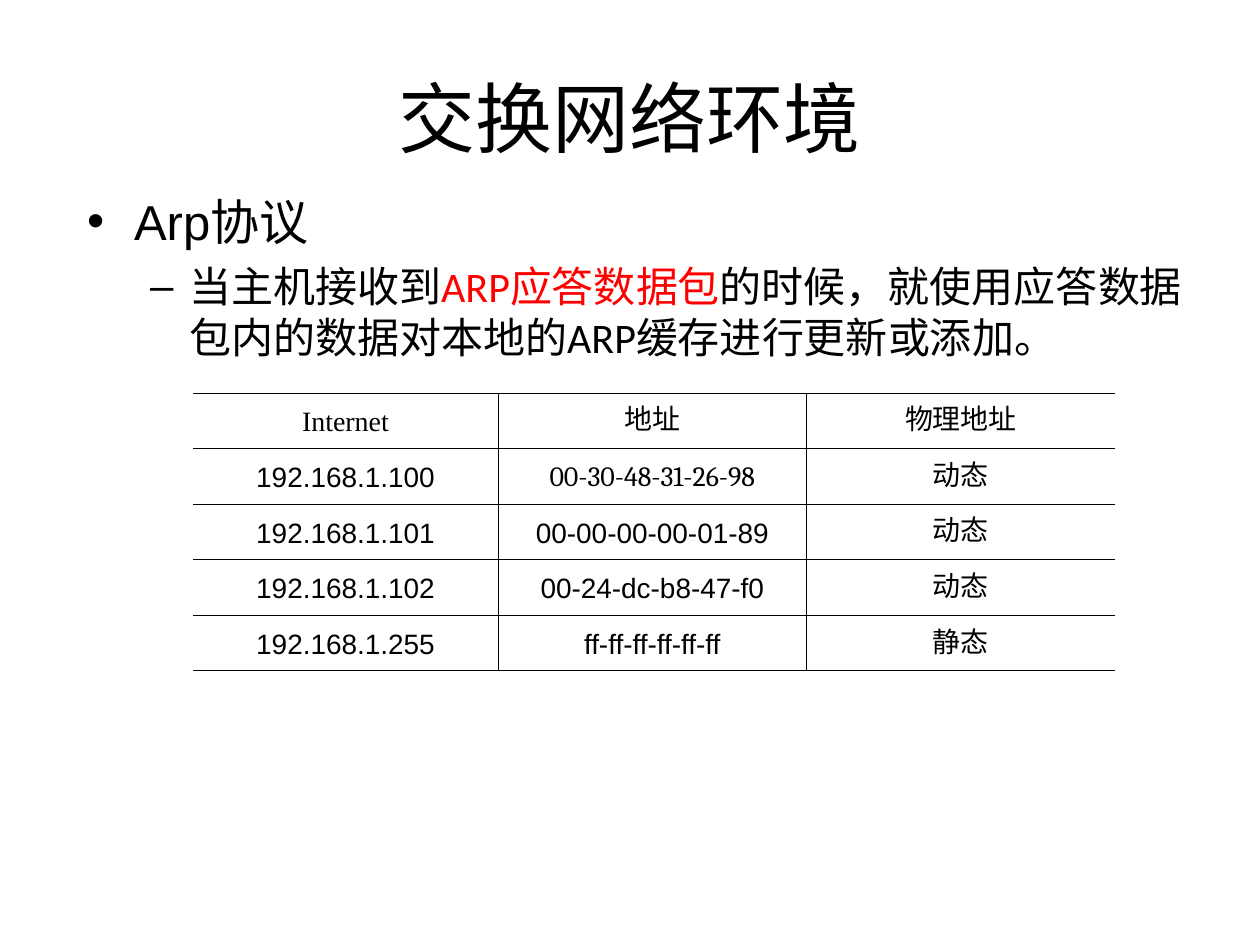
from lxml import etree
from pptx import Presentation
from pptx.dml import color
from pptx.enum import text
from pptx.oxml import ns
from pptx.util import Cm, Pt

BLACK, RED = "000000", "FF0000"
ROWS = [
    ("Internet", "地址", "物理地址"),
    ("192.168.1.100", "00-30-48-31-26-98", "动态"),
    ("192.168.1.101", "00-00-00-00-01-89", "动态"),
    ("192.168.1.102", "00-24-dc-b8-47-f0", "动态"),
    ("192.168.1.255", "ff-ff-ff-ff-ff-ff", "静态"),
]
CELL_FONTS = {"00-30-48-31-26-98": "Cambria"}


def rgb(value):
    return color.RGBColor.from_string(value)


def place(shape, left, top, width, height):
    shape.left, shape.top = Cm(left), Cm(top)
    shape.width, shape.height = Cm(width), Cm(height)


def add_run(paragraph, content, size, font_name, hex_color=BLACK):
    run = paragraph.add_run()
    run.text = content
    run.font.size = Pt(size)
    run.font.name = font_name
    run.font.color.rgb = rgb(hex_color)


def set_bullet(paragraph, character, margin, hanging):
    properties = paragraph._p.get_or_add_pPr()
    properties.set("marL", str(Cm(margin)))
    properties.set("indent", str(-Cm(hanging)))
    etree.SubElement(properties, ns.qn("a:buFont"), typeface="Arial")
    etree.SubElement(properties, ns.qn("a:buChar"), char=character)


def fill_title(shape):
    place(shape, 1.27, 0.76, 22.86, 3.18)
    frame = shape.text_frame
    frame.auto_size = text.MSO_AUTO_SIZE.NONE
    frame.vertical_anchor = text.MSO_ANCHOR.MIDDLE
    paragraph = frame.paragraphs[0]
    paragraph.alignment = text.PP_ALIGN.CENTER
    add_run(paragraph, "交换网络环境", 44, "Calibri")


def fill_body(shape):
    place(shape, 1.5, 3.73, 22.86, 6.2)
    frame = shape.text_frame
    frame.auto_size = text.MSO_AUTO_SIZE.NONE
    heading = frame.paragraphs[0]
    heading.space_before = Pt(7)
    set_bullet(heading, "•", 0.95, 0.95)
    add_run(heading, "Arp协议", 28, "Arial")

    detail = frame.add_paragraph()
    detail.level = 1
    detail.space_before = Pt(6)
    set_bullet(detail, "–", 2.06, 0.79)
    add_run(detail, "当主机接收到", 24, "Calibri")
    add_run(detail, "ARP应答数据包", 24, "Calibri", RED)
    add_run(detail, "的时候，就使用应答数据包内的数据对本地的ARP缓存进行更新或添加。", 24, "Calibri")


def set_borders(cell, visible_sides):
    properties = cell._tc.get_or_add_tcPr()
    for index, side in enumerate("LRTB"):
        line = etree.Element(ns.qn(f"a:ln{side}"), w=str(Pt(0.45)))
        if side in visible_sides:
            fill = etree.SubElement(line, ns.qn("a:solidFill"))
            etree.SubElement(fill, ns.qn("a:srgbClr"), val=BLACK)
        else:
            etree.SubElement(line, ns.qn("a:noFill"))
        properties.insert(index, line)


def fill_cell(cell, content, font_name, visible_sides):
    cell.fill.background()
    cell.margin_left = cell.margin_right = Cm(0.2)
    cell.margin_top = cell.margin_bottom = Cm(0.13)
    paragraph = cell.text_frame.paragraphs[0]
    paragraph.alignment = text.PP_ALIGN.CENTER
    paragraph.line_spacing = Pt(22)
    add_run(paragraph, content, 16, font_name)
    set_borders(cell, visible_sides)


def add_address_table(slide):
    frame = slide.shapes.add_table(len(ROWS), 3, Cm(3.89), Cm(7.92), Cm(18.59), Cm(5.6))
    table = frame.table
    table.first_row = table.horz_banding = False
    for column, width in zip(table.columns, (6.15, 6.22, 6.22)):
        column.width = Cm(width)
    for row_index, row in enumerate(ROWS):
        table.rows[row_index].height = Cm(1.12)
        default_font = "Arial" if row_index else "Times New Roman"
        for column_index, content in enumerate(row):
            font_name = CELL_FONTS.get(content, default_font)
            sides = ("RTB", "LRTB", "LTB")[column_index]
            fill_cell(table.cell(row_index, column_index), content, font_name, sides)


def main():
    presentation = Presentation()
    presentation.slide_width, presentation.slide_height = Cm(25.4), Cm(19.05)
    slide = presentation.slides.add_slide(presentation.slide_layouts[1])
    fill_title(slide.shapes.title)
    fill_body(slide.placeholders[1])
    add_address_table(slide)
    presentation.save("out.pptx")


if __name__ == "__main__":
    main()
